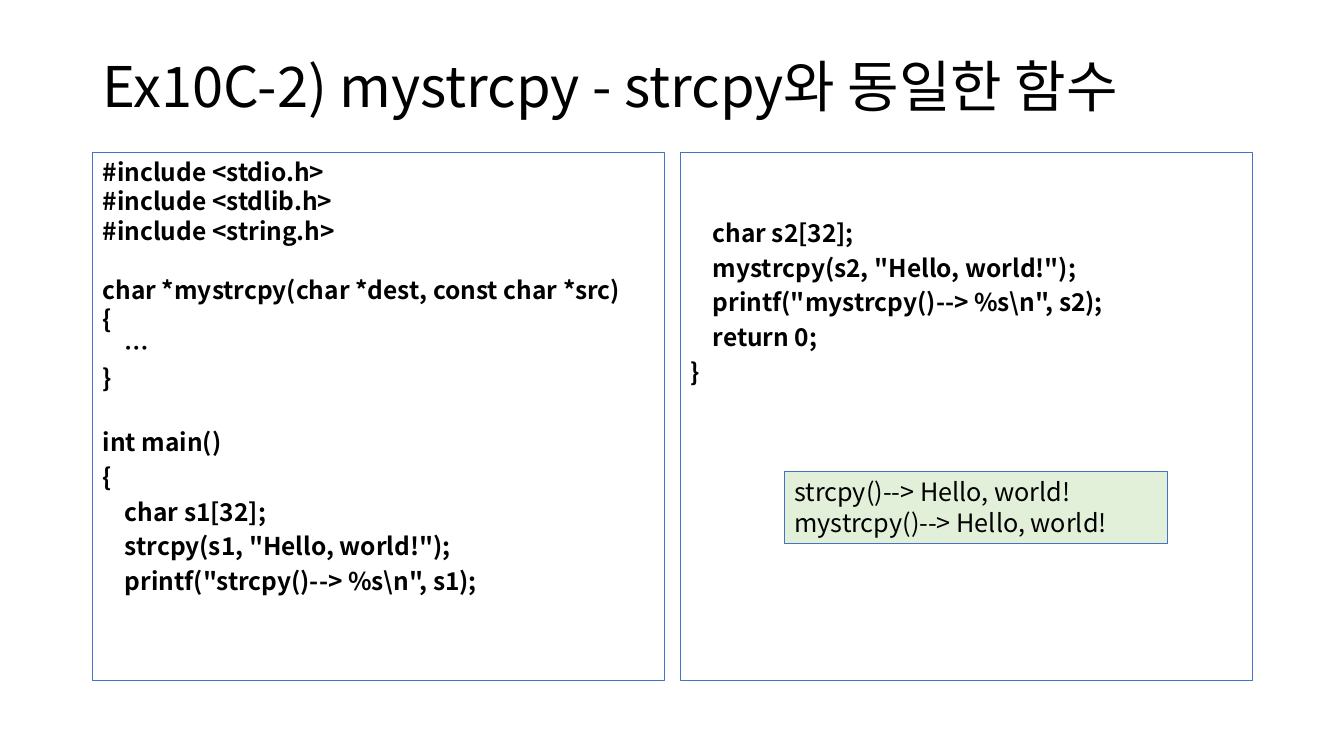
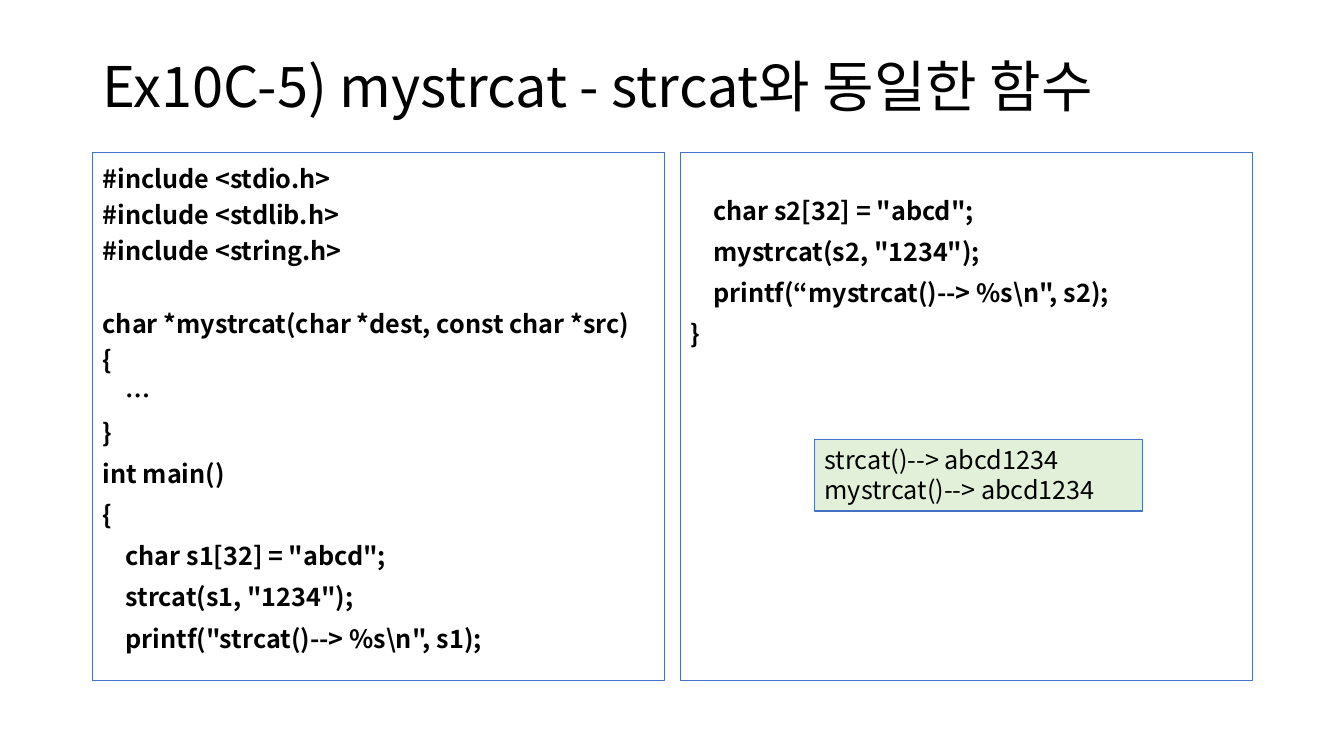
"""Build two slides of C string exercises, each with two code panels and an output box."""
import pptx
import pptx.dml.color
import pptx.enum.shapes
import pptx.enum.text
import pptx.oxml.ns
import pptx.util
from lxml import etree

COLOURS = {"text": "000000", "line": "4472C4", "output": "E2F0D9"}
FONT = "Noto Sans CJK KR"
LINE_HEIGHT = 1.2
SLIDE_WIDTH, SLIDE_HEIGHT = 13.33, 7.5
MARGIN, GUTTER = 0.92, 0.16
CONTENT_WIDTH = 11.5
PANEL_WIDTH = (CONTENT_WIDTH - GUTTER) / 2
PANEL_TOP, PANEL_HEIGHT = 1.51, 5.24
TITLE_TOP, TITLE_HEIGHT = 0.4, 0.98
OUTPUT_HEIGHT = 0.71
INSET = 0.05

HEADERS = ["#include <stdio.h>", "#include <stdlib.h>", "#include <string.h>", ""]
BODY = ["{", "    …", "}"]

SLIDES = [
    {
        "title": "Ex10C-2) mystrcpy - strcpy와 동일한 함수",
        "size": 17.5,
        "top_spacing": 1.0,
        "main_spacing": 0.7,
        "function": HEADERS + ["char *mystrcpy(char *dest, const char *src)"] + BODY + [""],
        "main": [
            "int main()",
            "{",
            "    char s1[32];",
            '    strcpy(s1, "Hello, world!");',
            r'    printf("strcpy()--> %s\n", s1);',
        ],
        "rest": [
            "",
            "",
            "    char s2[32];",
            '    mystrcpy(s2, "Hello, world!");',
            r'    printf("mystrcpy()--> %s\n", s2);',
            "    return 0;",
            "}",
        ],
        "output": ["strcpy()--> Hello, world!", "mystrcpy()--> Hello, world!"],
        "output_at": (7.78, 4.68, 3.8),
    },
    {
        "title": "Ex10C-5) mystrcat - strcat와 동일한 함수",
        "size": 18,
        "top_spacing": 1.2,
        "main_spacing": 0.9,
        "function": HEADERS + ["char *mystrcat(char *dest, const char *src)"] + BODY,
        "main": [
            "int main()",
            "{",
            '    char s1[32] = "abcd";',
            '    strcat(s1, "1234");',
            r'    printf("strcat()--> %s\n", s1);',
        ],
        "rest": [
            "",
            '    char s2[32] = "abcd";',
            '    mystrcat(s2, "1234");',
            r'    printf(“mystrcat()--> %s\n", s2);',
            "}",
        ],
        "output": ["strcat()--> abcd1234", "mystrcat()--> abcd1234"],
        "output_at": (8.08, 4.36, 3.25),
    },
]


def colour(name):
    return pptx.dml.color.RGBColor.from_string(COLOURS[name])


def add_box(page, left, top, width, height, fill=None, outlined=True):
    """Add a rectangle that holds left-aligned text."""
    box = page.shapes.add_shape(
        pptx.enum.shapes.MSO_SHAPE.RECTANGLE,
        *(pptx.util.Inches(length) for length in (left, top, width, height)),
    )
    box.shadow.inherit = False
    if fill:
        box.fill.solid()
        box.fill.fore_color.rgb = colour(fill)
    else:
        box.fill.background()
    if outlined:
        box.line.color.rgb = colour("line")
        box.line.width = pptx.util.Pt(0.75)
    else:
        box.line.fill.background()
    box.text_frame.word_wrap = True
    box.text_frame.vertical_anchor = pptx.enum.text.MSO_ANCHOR.TOP
    return box


def write_lines(frame, lines, size, bold=False):
    """Write (text, line spacing, space before) lines, turning empty ones into space."""
    gap, started = 0, False
    for text, spacing, before in lines:
        if not text:
            gap += before + size * LINE_HEIGHT * spacing
            continue
        para = frame.add_paragraph() if started else frame.paragraphs[0]
        para.text = text
        para.alignment = pptx.enum.text.PP_ALIGN.LEFT
        para.line_spacing = spacing
        if started:
            para.space_before = pptx.util.Pt(round(gap + before, 2))
        else:
            frame.margin_top = pptx.util.Inches(INSET) + pptx.util.Pt(gap)
        para.font.name = FONT
        para.font.size = pptx.util.Pt(size)
        para.font.bold = bold
        para.font.color.rgb = colour("text")
        latin = para._p.find(".//" + pptx.oxml.ns.qn("a:latin"))
        east_asian = etree.Element(pptx.oxml.ns.qn("a:ea"), typeface=FONT)
        latin.addnext(east_asian)
        gap, started = 0, True


def build_slide(deck, content):
    page = deck.slides.add_slide(deck.slide_layouts[6])
    title = add_box(page, MARGIN, TITLE_TOP, CONTENT_WIDTH, TITLE_HEIGHT, outlined=False)
    title.text_frame.vertical_anchor = pptx.enum.text.MSO_ANCHOR.MIDDLE
    write_lines(title.text_frame, [(content["title"], 0.9, 0)], 40)

    function = [(text, content["top_spacing"], 0) for text in content["function"]]
    main, rest = (
        [(text, content["main_spacing"], 10) for text in content[part]]
        for part in ("main", "rest")
    )
    for column, lines in enumerate([function + main, rest]):
        left = MARGIN + column * (PANEL_WIDTH + GUTTER)
        panel = add_box(page, left, PANEL_TOP, PANEL_WIDTH, PANEL_HEIGHT)
        write_lines(panel.text_frame, lines, content["size"], bold=True)

    output = add_box(page, *content["output_at"], OUTPUT_HEIGHT, fill="output")
    write_lines(output.text_frame, [(text, 1.0, 0) for text in content["output"]], 18)


def main():
    deck = pptx.Presentation()
    deck.slide_width = pptx.util.Inches(SLIDE_WIDTH)
    deck.slide_height = pptx.util.Inches(SLIDE_HEIGHT)
    for content in SLIDES:
        build_slide(deck, content)
    deck.save("out.pptx")


if __name__ == "__main__":
    main()
